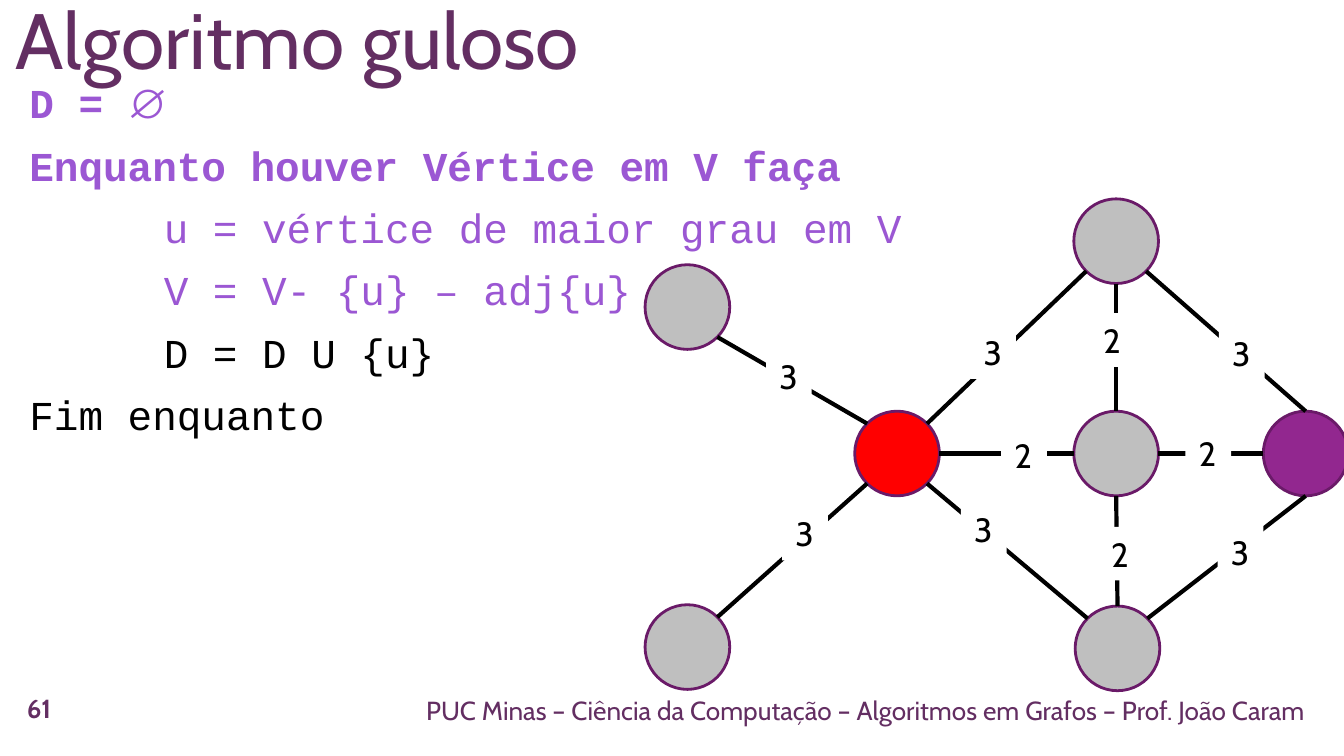
from math import cos, radians, sin

from lxml.etree import SubElement
from pptx import Presentation
from pptx.dml.color import RGBColor
from pptx.enum.shapes import MSO_CONNECTOR as CONN, MSO_SHAPE as SHAPE
from pptx.enum.text import MSO_ANCHOR as ANCHOR, PP_ALIGN as ALIGN
from pptx.oxml.ns import qn
from pptx.util import Inches, Pt

PLUM = RGBColor(0x63, 0x2E, 0x62)
LILAC = RGBColor(0x9B, 0x57, 0xD3)
OUTLINE = RGBColor(0x6A, 0x1A, 0x68)
PURPLE = RGBColor(0x92, 0x27, 0x8F)
RED = RGBColor(0xFF, 0x00, 0x00)
GRAY = RGBColor(0xBF, 0xBF, 0xBF)
BLACK = RGBColor(0x00, 0x00, 0x00)
WHITE = RGBColor(0xFF, 0xFF, 0xFF)

# Content: box, text, alignment, anchor, line spacing, font format
FOOTER = {"name": "Cabin", "size": Pt(14), "color": PLUM}
TEXTS = [
    ((0.67, 5.13, 9.14, 0.31),
     "PUC Minas – Ciência da Computação – Algoritmos em Grafos – Prof. João Caram",
     ALIGN.RIGHT, ANCHOR.MIDDLE, 1.0, FOOTER),
    ((0, 5.13, 0.58, 0.31), "61", ALIGN.CENTER, ANCHOR.MIDDLE, 0.9,
     {**FOOTER, "bold": True}),
    ((0.02, -0.42, 9.22, 1.1), "Algoritmo guloso", ALIGN.LEFT, ANCHOR.BOTTOM, 1.0,
     {"name": "Cabin", "size": Pt(42), "color": PLUM}),
]

# Pseudocode: each line is a list of runs
CODE_BOX = (0.12, 0.53, 9.22, 3.58)
PLAIN = {"name": "Courier New", "size": Pt(22), "color": BLACK}
DONE = {**PLAIN, "color": LILAC}
BOLD = {**DONE, "bold": True}
CODE = [
    [("D = ", BOLD), ("∅", {**BOLD, "name": "Arial"})],
    [("Enquanto houver Vértice em V faça", BOLD)],
    [("\tu = vértice de maior grau em V", DONE)],
    [("\tV = V- {u} – adj{u}", DONE)],
    [("\tD = D U {u}", PLAIN)],
    [("Fim enquanto", PLAIN)],
]

# Graph: node -> left, top, fill
NODE_SIZE = 0.63
NODES = {
    "upper left": (4.8, 1.97, GRAY),
    "lower left": (4.8, 4.5, GRAY),
    "hub": (6.36, 3.06, RED),
    "top": (7.99, 1.48, GRAY),
    "right": (9.4, 3.06, PURPLE),
    "bottom": (8, 4.51, GRAY),
    "middle": (7.99, 3.06, GRAY),
}

# Edges: node and angle (clockwise from east) at each end, weight, label corner
EDGES = [
    ("hub", 225, "upper left", 45, "3", (5.7, 2.6)),
    ("hub", 135, "lower left", 315, "3", (5.82, 3.77)),
    ("top", 135, "hub", 315, "3", (7.22, 2.42)),
    ("bottom", 225, "hub", 45, "3", (7.15, 3.74)),
    ("right", 90, "bottom", 315, "3", (9.06, 3.91)),
    ("top", 45, "right", 270, "3", (9.07, 2.43)),
    ("top", 90, "middle", 270, "2", (8.11, 2.33)),
    ("hub", 0, "middle", 180, "2", (7.45, 3.19)),
    ("middle", 0, "right", 180, "2", (8.82, 3.17)),
    ("middle", 90, "bottom", 270, "2", (8.17, 3.92)),
]
LABEL_SIZE = (0.34, 0.4)
LABEL = {"name": "Cabin", "size": Pt(18), "color": BLACK}


def add_run(p, text, fmt):
    r = p.add_run()
    r.text = text
    for key, value in fmt.items():
        if key == "color":
            r.font.color.rgb = value
        else:
            setattr(r.font, key, value)


def add_text(s, box, lines, align=ALIGN.LEFT, anchor=ANCHOR.TOP, spacing=1.0,
             wrap=True, gap=0, tab=None):
    sp = s.shapes.add_textbox(*map(Inches, box))
    tf = sp.text_frame
    tf.word_wrap = wrap
    tf.vertical_anchor = anchor
    for i, runs in enumerate(lines):
        p = tf.add_paragraph() if i else tf.paragraphs[0]
        p.alignment = align
        p.line_spacing = spacing
        p.space_before = Pt(gap if i else 0)
        if tab:
            tabs = SubElement(p._p.get_or_add_pPr(), qn("a:tabLst"))
            SubElement(tabs, qn("a:tab"), pos=str(Inches(tab)), algn="l")
        for text, fmt in runs:
            add_run(p, text, fmt)
    return sp


def rim_point(node, angle):
    left, top, _ = NODES[node]
    radius = NODE_SIZE / 2
    return (Inches(left + radius * (1 + cos(radians(angle)))),
            Inches(top + radius * (1 + sin(radians(angle)))))


# 16:9 slide
prs = Presentation()
prs.slide_width, prs.slide_height = Inches(10), Inches(10 * 9 / 16)
s = prs.slides.add_slide(prs.slide_layouts[6])

# Footer, page number, title and pseudocode
for box, text, align, anchor, spacing, fmt in TEXTS:
    add_text(s, box, [[(text, fmt)]], align, anchor, spacing)
add_text(s, CODE_BOX, CODE, gap=7, tab=1)

# Nodes
for left, top, fill in NODES.values():
    sp = s.shapes.add_shape(SHAPE.OVAL, *map(Inches, (left, top, NODE_SIZE, NODE_SIZE)))
    sp.shadow.inherit = False
    sp.fill.solid()
    sp.fill.fore_color.rgb = fill
    sp.line.color.rgb = OUTLINE
    sp.line.width = Pt(1.5)

# Edges
for start, start_angle, end, end_angle, _, _ in EDGES:
    edge = s.shapes.add_connector(CONN.STRAIGHT, *rim_point(start, start_angle),
                                  *rim_point(end, end_angle))
    edge.line.color.rgb = BLACK
    edge.line.width = Pt(2.25)
    SubElement(edge._element.spPr, qn("a:effectLst"))

# Weights, on white boxes that interrupt the edges
for *_, weight, corner in EDGES:
    sp = add_text(s, corner + LABEL_SIZE, [[(weight, LABEL)]], wrap=False)
    sp.fill.solid()
    sp.fill.fore_color.rgb = WHITE

prs.save("out.pptx")
